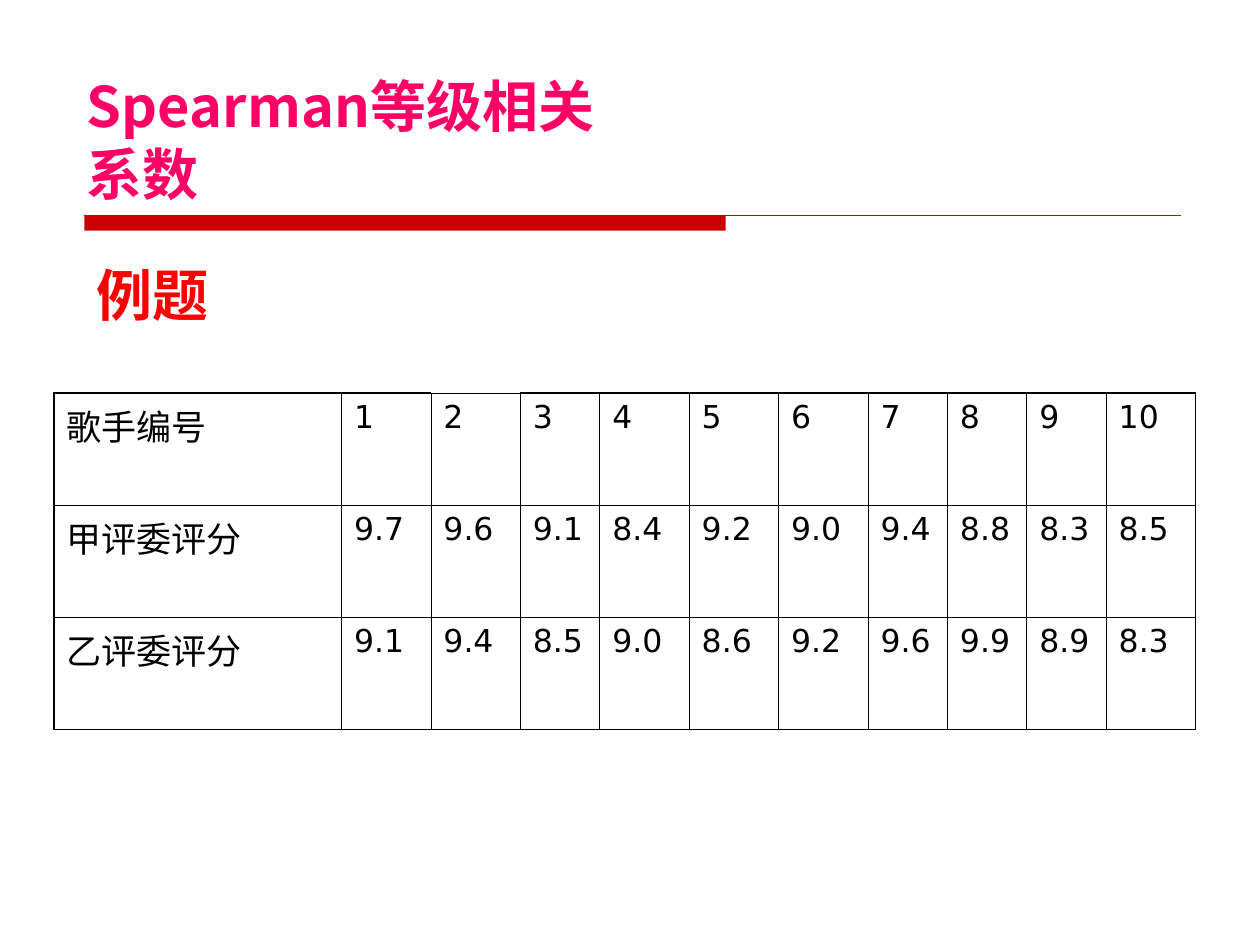
"""Build a slide with the judges' scores for a Spearman rank correlation example."""
from lxml.etree import SubElement
from pptx import Presentation
from pptx.dml.color import RGBColor
from pptx.enum.shapes import MSO_CONNECTOR, MSO_SHAPE
from pptx.enum.text import MSO_ANCHOR, MSO_AUTO_SIZE, PP_ALIGN
from pptx.oxml import parse_xml
from pptx.oxml.ns import nsdecls, qn
from pptx.util import Inches, Pt

PINK = RGBColor(0xFF, 0x00, 0x66)
RED = RGBColor(0xFF, 0x00, 0x00)
DARK_RED = RGBColor(0xCC, 0x00, 0x00)
BLACK = RGBColor(0x00, 0x00, 0x00)
HAN_FONT = "Noto Sans CJK SC"
THIN, THICK = Pt(0.45), Pt(1.08)


def write(frame, text, latin_font, size, color, bold=False):
    frame.text = text
    para = frame.paragraphs[0]
    para.alignment = PP_ALIGN.LEFT
    para.font.name = latin_font
    para.font.size = Pt(size)
    para.font.bold = bold
    para.font.color.rgb = color
    for span in para.runs:
        SubElement(span.font._element, qn("a:ea"), typeface=HAN_FONT)
    return para


def draw_borders(cell, widths):
    for index, (side, width) in enumerate(widths.items()):
        border = parse_xml(
            f'<a:ln{side} {nsdecls("a")} w="{width}"><a:solidFill>'
            f'<a:srgbClr val="{BLACK}"/></a:solidFill></a:ln{side}>')
        cell._tc.get_or_add_tcPr().insert(index, border)


deck = Presentation()
deck.slide_width, deck.slide_height = Inches(10), Inches(7.5)
page = deck.slides.add_slide(deck.slide_layouts[5])

title = page.shapes.title
title.left, title.top = Inches(0.59), Inches(0.52)
title.width, title.height = Inches(4.67), Inches(1.17)
title.text_frame.vertical_anchor = MSO_ANCHOR.TOP
title.text_frame.auto_size = MSO_AUTO_SIZE.NONE
write(title.text_frame, "Spearman等级相关系数", HAN_FONT, 32, PINK, True)

rule_left, rule_top = Inches(0.67), Inches(1.71)
bar = page.shapes.add_shape(
    MSO_SHAPE.RECTANGLE, rule_left, rule_top, Inches(5.09), Inches(0.12))
bar.shadow.inherit = False
bar.fill.solid()
bar.fill.fore_color.rgb = DARK_RED
bar.line.fill.background()
rule = page.shapes.add_connector(
    MSO_CONNECTOR.STRAIGHT, rule_left, rule_top, Inches(9.37), rule_top)
rule.line.color.rgb = DARK_RED
rule.line.width = Pt(0.75)
SubElement(rule._element.spPr, qn("a:effectLst"))

scores = [
    ["歌手编号", *range(1, 11)],
    ["甲评委评分", 9.7, 9.6, 9.1, 8.4, 9.2, 9.0, 9.4, 8.8, 8.3, 8.5],
    ["乙评委评分", 9.1, 9.4, 8.5, 9.0, 8.6, 9.2, 9.6, 9.9, 8.9, 8.3],
]
wide, narrow = 0.71, 0.63
column_widths = [2.28, wide, wide, narrow, wide, wide, wide, narrow, narrow, narrow, wide]
last_row, last_column = len(scores) - 1, len(column_widths) - 1
table = page.shapes.add_table(
    len(scores), len(column_widths), Inches(0.43), Inches(3.12),
    Inches(sum(column_widths)), Inches(2.67)).table
table.first_row = table.horz_banding = False
for column, width in zip(table.columns, column_widths):
    column.width = Inches(width)

for row_index, row in enumerate(scores):
    for column_index, value in enumerate(row):
        cell = table.cell(row_index, column_index)
        cell.fill.background()
        size = 20 if column_index == 0 else 18
        para = write(cell.text_frame, str(value), "DejaVu Sans", size, BLACK)
        para.space_before = Pt(size / 4)
        draw_borders(cell, {
            "L": THICK if column_index == 0 else THIN,
            "R": THICK if column_index == last_column else THIN,
            "T": THICK if row_index == 0 and column_index != 2 else THIN,
            "B": THICK if row_index == last_row else THIN,
        })

example = page.shapes.add_textbox(Inches(0.67), Inches(2.02), Inches(1.09), Inches(0.64))
example.text_frame.word_wrap = False
write(example.text_frame, "例题", "Times New Roman", 32, RED, True)

deck.save("out.pptx")
